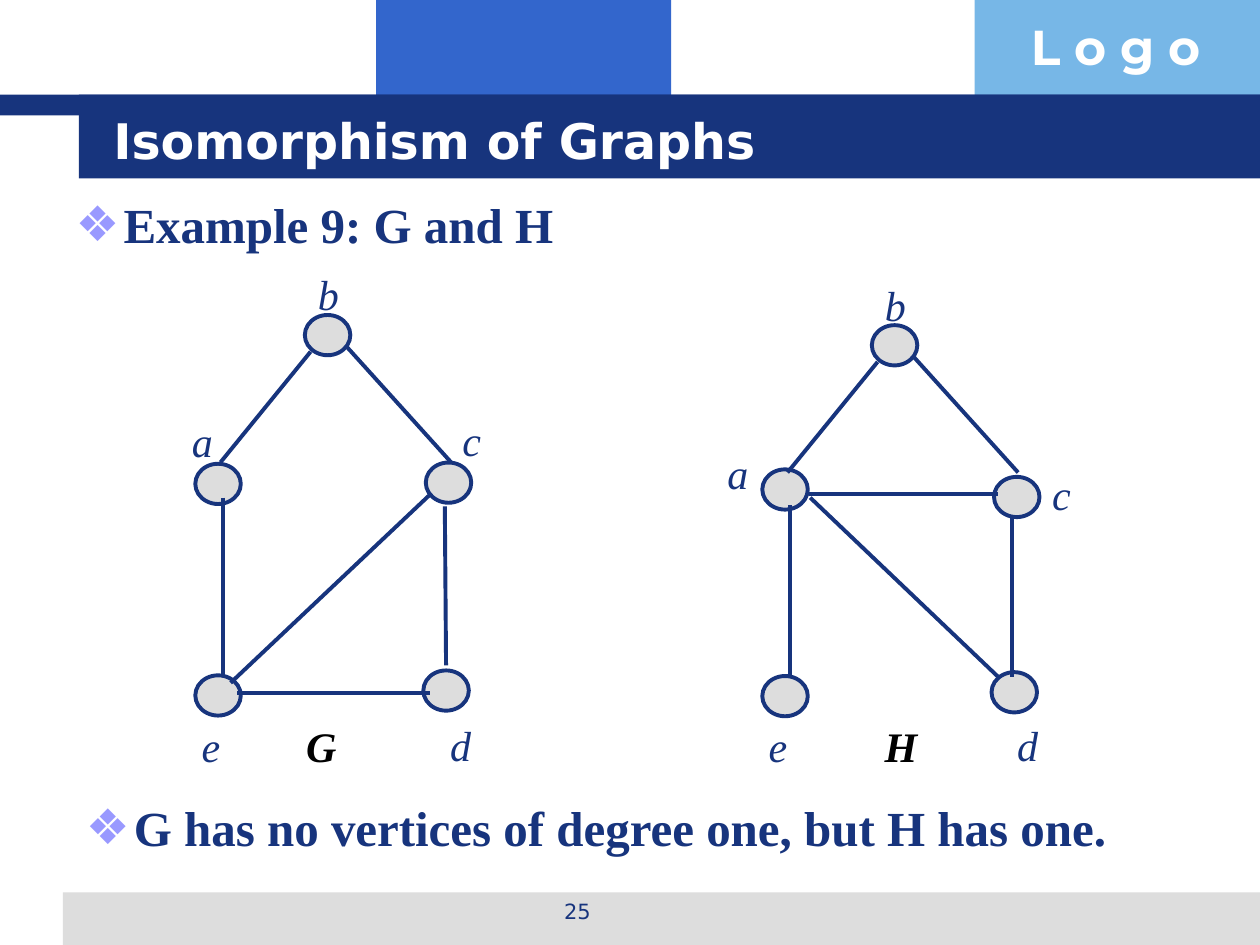
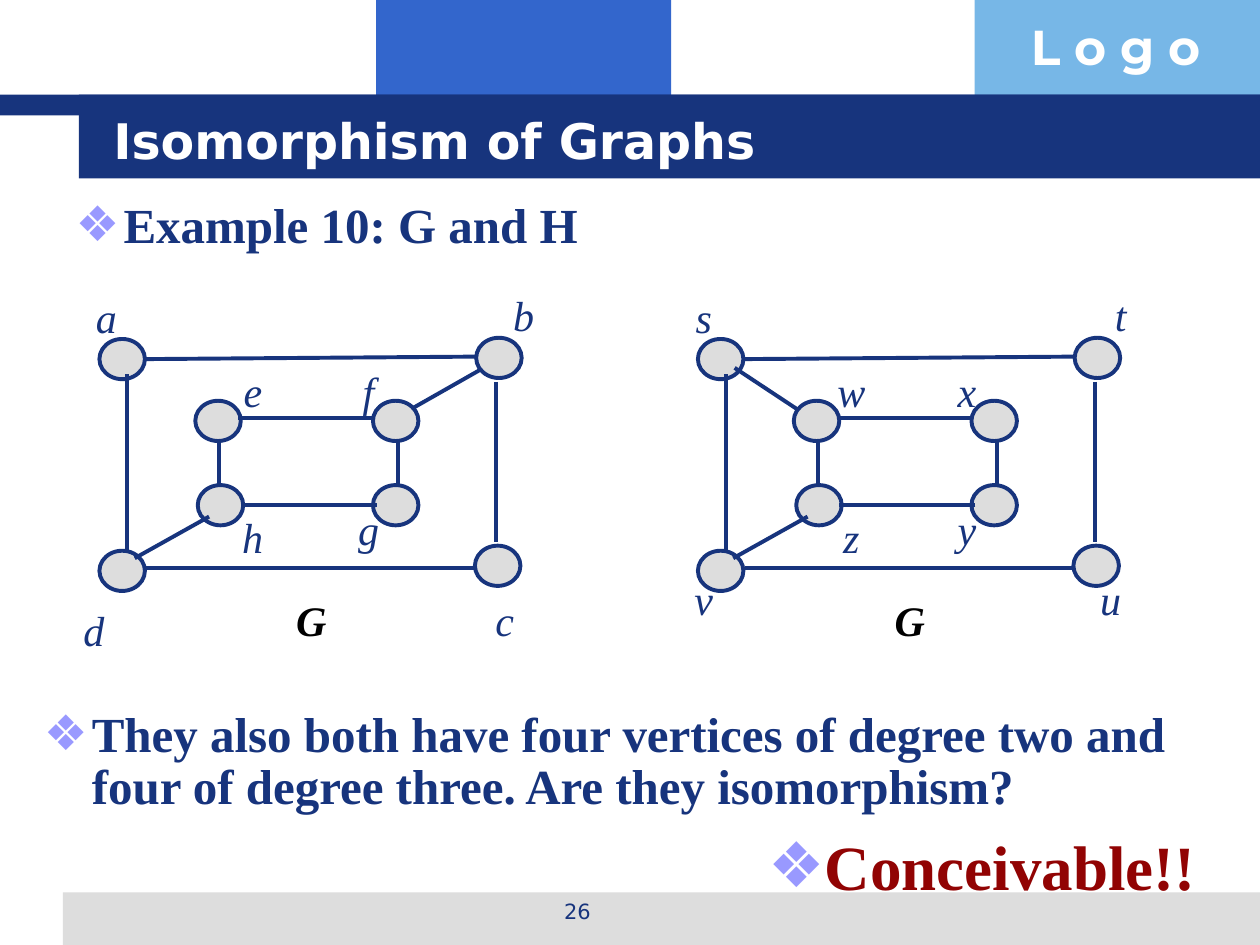
from dataclasses import dataclass
from typing import NamedTuple

from lxml import etree
from pptx import Presentation
from pptx.dml.color import RGBColor
from pptx.enum.shapes import MSO_CONNECTOR, MSO_SHAPE
from pptx.enum.text import MSO_ANCHOR, MSO_AUTO_SIZE, PP_ALIGN
from pptx.oxml.ns import qn
from pptx.util import Pt

RECT, ELLIPSE, LINE = MSO_SHAPE.RECTANGLE, MSO_SHAPE.OVAL, MSO_CONNECTOR.STRAIGHT
LEFT, CENTER = PP_ALIGN.LEFT, PP_ALIGN.CENTER
TOP, MIDDLE = MSO_ANCHOR.TOP, MSO_ANCHOR.MIDDLE
NO_FIT = MSO_AUTO_SIZE.NONE

NAVY = RGBColor(0x17, 0x34, 0x7D)
BLUE = RGBColor(0x33, 0x66, 0xCC)
SKY = RGBColor(0x77, 0xB7, 0xE7)
GREY = RGBColor(0xDD, 0xDD, 0xDD)
LILAC = RGBColor(0x99, 0x99, 0xFF)
RED = RGBColor(0x91, 0x03, 0x03)
WHITE = RGBColor(0xFF, 0xFF, 0xFF)
BLACK = RGBColor(0, 0, 0)

SANS, SERIF, LOGO_FONT = "DejaVu Sans", "Times New Roman", "Montserrat"
TITLE_FMT = {"name": SANS, "size": Pt(28), "bold": True}
LOGO_FMT = {"name": LOGO_FONT, "size": Pt(28), "bold": True}
NUMBER_FMT = {"name": SANS, "size": Pt(12)}
BODY_FMT = {"name": SERIF, "size": Pt(28), "bold": True}
ANSWER_FMT = {**BODY_FMT, "size": Pt(36)}
LABEL_FMT = {"name": SERIF, "size": Pt(24), "italic": True}
NAME_FMT = {**LABEL_FMT, "bold": True}

NODE_W, NODE_H = 26, 23
LABEL_W, LABEL_H = 32, 36
STROKE = Pt(2.25)
INDENT = Pt(27.4)


class Box(NamedTuple):
    x: float
    y: float
    w: float
    h: float


class Band(NamedTuple):
    box: Box
    color: RGBColor


class Vertex(NamedTuple):
    label: str
    x: float
    y: float
    label_x: float
    label_y: float


class Edge(NamedTuple):
    x1: float
    y1: float
    x2: float
    y2: float


@dataclass(frozen=True)
class Graph:
    name: str
    name_x: float
    name_y: float
    vertices: list[Vertex]
    edges: list[Edge]
    dx: float = 0


@dataclass(frozen=True)
class Bullet:
    text: str
    box: Box
    fmt: dict
    color: RGBColor = NAVY


@dataclass(frozen=True)
class GraphSlide:
    number: int
    heading: str
    graphs: list[Graph]
    bullets: list[Bullet]


BANDS = [
    Band(Box(215, 0, 168.5, 66), BLUE),
    Band(Box(557, 0, 163, 66), SKY),
    Band(Box(36, 510, 684, 30), GREY),
    Band(Box(0, 54, 720, 12), NAVY),
    Band(Box(45, 54, 675, 48), NAVY),
]

HOUSE_G = Graph(
    "G", 183.6, 426.2,
    [
        Vertex("a", 124.6, 276.5, 115.6, 252),
        Vertex("b", 187.2, 191.5, 187.6, 167.8),
        Vertex("c", 256.3, 275.8, 269.6, 251.3),
        Vertex("d", 254.9, 394.6, 263.2, 425.5),
        Vertex("e", 124.6, 397.4, 120.6, 426.2),
    ],
    [
        Edge(177.5, 201, 126, 264.2),
        Edge(198, 198, 257.8, 264.2),
        Edge(127.4, 284.4, 127.4, 385.9),
        Edge(131.8, 390.2, 246.2, 282.2),
        Edge(254.2, 289.4, 254.9, 380.2),
        Edge(245.5, 396, 135.4, 396),
    ],
)
HOUSE_H = Graph(
    "H", 514.8, 426.2,
    [
        Vertex("a", 448.6, 279.7, 421.6, 270),
        Vertex("b", 511.2, 197.3, 511.6, 174.2),
        Vertex("c", 581, 284, 606.6, 282.2),
        Vertex("d", 579.6, 395.6, 587.2, 425.5),
        Vertex("e", 448.6, 397.8, 444.6, 426.2),
    ],
    [
        Edge(501.5, 206.8, 450, 270),
        Edge(522, 203.8, 581.8, 270),
        Edge(451.4, 288.7, 451.4, 386.6),
        Edge(578.2, 386.6, 578.2, 295.2),
        Edge(463, 284.4, 570.2, 386.6),
        Edge(570.2, 282.2, 462.2, 282.2),
    ],
)

NESTED_NODES = [
    (69.8, 205.2), (285.1, 204.5), (284.4, 323.3), (69.8, 326.2),
    (124.6, 240.5), (226.1, 240.5), (226.1, 288.7), (126, 288.7),
]
NESTED_EDGES = [
    Edge(83.5, 205.2, 271.4, 203.8),
    Edge(283.7, 218.2, 283.7, 309.6),
    Edge(271.4, 324.7, 83.5, 324.7),
    Edge(72.7, 213.8, 72.7, 314.6),
    Edge(213.8, 239, 136.1, 239),
    Edge(227.5, 252.7, 227.5, 277.2),
    Edge(215.3, 288.7, 137.5, 288.7),
    Edge(125.3, 252.7, 125.3, 277.2),
    Edge(77, 319, 119.5, 295.2),
]
INNER_LABELS = [(144.5, 223.2), (210.6, 223.2), (210.6, 302.4), (144.4, 306.7)]


def nested_graph(letters: str, outer_labels: list[tuple[float, float]],
                 link: Edge, dx: float = 0) -> Graph:
    spots = outer_labels + INNER_LABELS
    vertices = [Vertex(c, *node, *spot)
                for c, node, spot in zip(letters, NESTED_NODES, spots)]
    return Graph("G", 177.8, 354.2, vertices, NESTED_EDGES + [link], dx)


SLIDES = [
    GraphSlide(
        25, "Example 9: G and H", [HOUSE_G, HOUSE_H],
        [Bullet("G has no vertices of degree one, but H has one.",
                Box(42, 456, 654, 38), BODY_FMT)],
    ),
    GraphSlide(
        26, "Example 10: G and H",
        [
            nested_graph("abcdefgh",
                         [(60.8, 180.7), (299.2, 180), (288.4, 354.2), (53.6, 360)],
                         Edge(236.3, 233, 275, 211)),
            nested_graph("stuvwxyz",
                         [(60.1, 180.7), (298.4, 180), (292.7, 342), (60.1, 342)],
                         Edge(77.8, 210.2, 113.8, 234), 342),
        ],
        [
            Bullet("They also both have four vertices of degree two and "
                   "four of degree three. Are they isomorphism?",
                   Box(18, 402, 672, 66), BODY_FMT),
            Bullet("Conceivable!!", Box(432, 474, 264, 66), ANSWER_FMT, RED),
        ],
    ),
]


def place(sp, box: Box) -> None:
    for key, value in zip(("left", "top", "width", "height"), box):
        setattr(sp, key, Pt(value))


def write(sp, text: str, fmt: dict, color: RGBColor, align=LEFT,
          anchor=TOP, wrap: bool = True):
    tf = sp.text_frame
    for key, value in {"word_wrap": wrap, "auto_size": NO_FIT,
                       "vertical_anchor": anchor}.items():
        setattr(tf, key, value)
    p = tf.paragraphs[0]
    p.alignment = align
    r = p.add_run()
    r.text = text
    for key, value in fmt.items():
        setattr(r.font, key, value)
    r.font.color.rgb = color
    return p


def add_text(shapes, box: Box, text: str, fmt: dict, color: RGBColor, **layout):
    sp = shapes.add_textbox(*map(Pt, box))
    write(sp, text, fmt, color, **layout)
    return sp


def write_bullet(sp, text: str, fmt: dict, color: RGBColor) -> None:
    p = write(sp, text, fmt, color)
    p.line_spacing = 0.9
    p.space_before = Pt(0)
    ppr = p._p.get_or_add_pPr()
    ppr.set("marL", str(INDENT))
    ppr.set("indent", str(-INDENT))
    bu_color = etree.SubElement(ppr, qn("a:buClr"))
    etree.SubElement(bu_color, qn("a:srgbClr"), val=str(LILAC))
    etree.SubElement(ppr, qn("a:buFont"), typeface=SANS)
    etree.SubElement(ppr, qn("a:buChar"), char="❖")


def add_filled(shapes, kind, box: Box, color: RGBColor):
    sp = shapes.add_shape(kind, *map(Pt, box))
    sp.shadow.inherit = False
    sp.fill.solid()
    sp.fill.fore_color.rgb = color
    sp.line.fill.background()
    return sp


def add_label(shapes, text: str, x: float, y: float, fmt: dict,
              color: RGBColor) -> None:
    box = Box(x - LABEL_W / 2, y - LABEL_H / 2, LABEL_W, LABEL_H)
    add_text(shapes, box, text, fmt, color, align=CENTER, anchor=MIDDLE, wrap=False)


def draw_graph(s, graph: Graph) -> None:
    shapes = s.shapes.add_group_shape().shapes
    dx = graph.dx
    for v in graph.vertices:
        box = Box(v.x + dx - NODE_W / 2, v.y - NODE_H / 2, NODE_W, NODE_H)
        node = add_filled(shapes, ELLIPSE, box, GREY)
        node.line.color.rgb = NAVY
        node.line.width = STROKE
    for e in graph.edges:
        line = shapes.add_connector(LINE, Pt(e.x1 + dx), Pt(e.y1),
                                    Pt(e.x2 + dx), Pt(e.y2))
        line.line.color.rgb = NAVY
        line.line.width = STROKE
        etree.SubElement(line._element.spPr, qn("a:effectLst"))
    for v in graph.vertices:
        add_label(shapes, v.label, v.label_x + dx, v.label_y, LABEL_FMT, NAVY)
    add_label(shapes, graph.name, graph.name_x + dx, graph.name_y, NAME_FMT, BLACK)


def decorate_layout(layout, s) -> None:
    for ph in list(layout.placeholders):
        if ph.placeholder_format.idx >= 10:
            layout.shapes.element.remove(ph.element)
    parts = [add_filled(s.shapes, RECT, band.box, band.color) for band in BANDS]
    parts.append(add_text(s.shapes, Box(582, 6, 138, 41), "L o g o", LOGO_FMT, WHITE))
    for sp in parts:
        layout.shapes.element.append(sp.element)


def build_slide(s, content: GraphSlide) -> None:
    title, body = s.shapes.title, s.placeholders[1]
    place(title, Box(57.6, 57.6, 614, 44.6))
    write(title, "Isomorphism of Graphs", TITLE_FMT, WHITE, anchor=MIDDLE)
    place(body, Box(36, 111.6, 654, 38))
    write_bullet(body, content.heading, BODY_FMT, NAVY)
    add_text(s.shapes, Box(246, 510, 168, 25), str(content.number),
             NUMBER_FMT, NAVY, align=CENTER)
    for graph in content.graphs:
        draw_graph(s, graph)
    for b in content.bullets:
        sp = s.shapes.add_textbox(*map(Pt, b.box))
        write_bullet(sp, b.text, b.fmt, b.color)


def main() -> None:
    prs = Presentation()
    prs.slide_width, prs.slide_height = Pt(720), Pt(540)
    layout = prs.slide_layouts[1]
    slides = [prs.slides.add_slide(layout) for _ in SLIDES]
    decorate_layout(layout, slides[0])
    for s, content in zip(slides, SLIDES):
        build_slide(s, content)
    prs.save("out.pptx")


if __name__ == "__main__":
    main()
